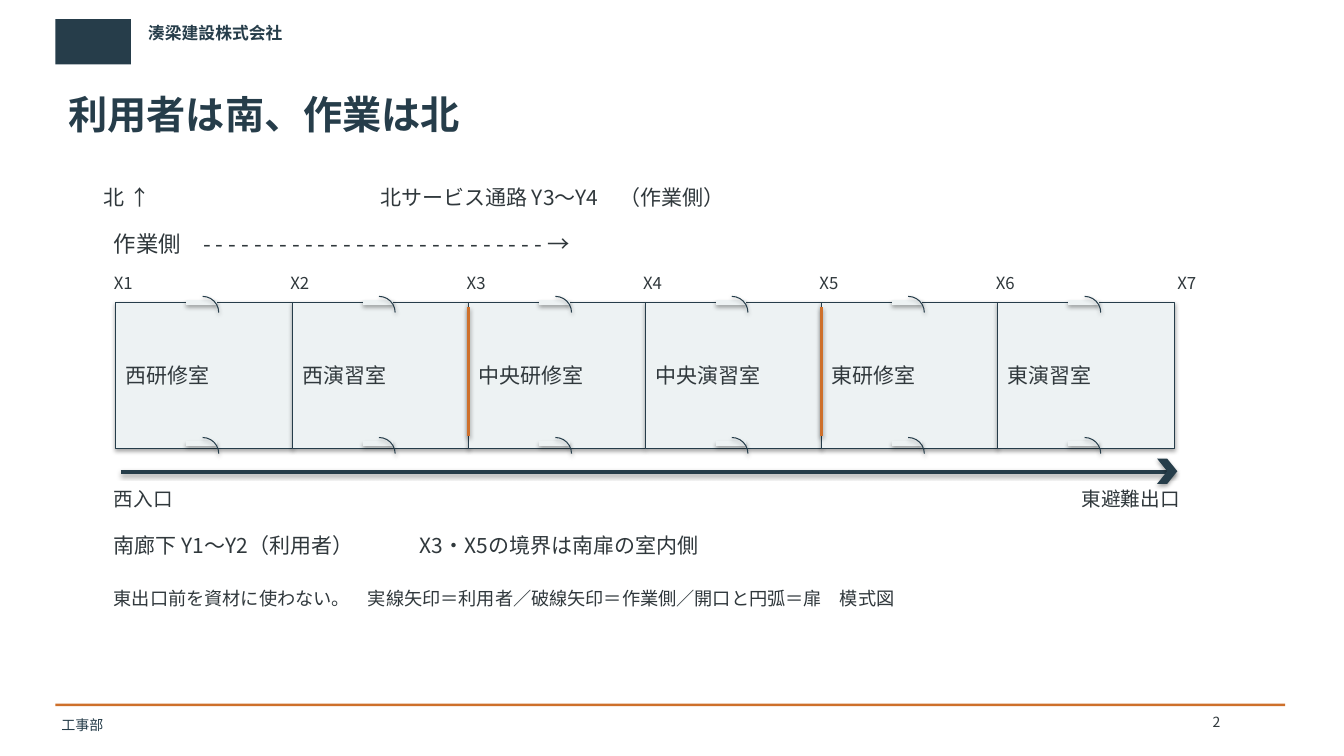
from dataclasses import dataclass

from lxml.etree import SubElement
from pptx import Presentation
from pptx.dml.color import RGBColor
from pptx.enum.shapes import MSO_CONNECTOR, MSO_SHAPE
from pptx.enum.text import MSO_ANCHOR, PP_ALIGN
from pptx.oxml.ns import qn
from pptx.util import Pt


@dataclass(frozen=True)
class Theme:
    font: str = "Noto Sans CJK JP"
    navy: str = "263D4A"
    orange: str = "CE702B"
    ink: str = "30383C"
    room: str = "EDF2F3"
    title: int = 28
    work: int = 16
    body: int = 15
    entrance: int = 14
    note: int = 13
    label: int = 12
    footer: int = 10


THEME = Theme()

ROOMS = ["西研修室", "西演習室", "中央研修室", "中央演習室", "東研修室", "東演習室"]
PARTITION_AXES = [2, 4]

# text, (left, top, width, height), size, colour, bold, tab stop
TEXTS = [
    ("湊梁建設株式会社", (103.68, 12.96, 288, 36), THEME.label, THEME.navy, True, None),
    ("工事部", (41.76, 508.32, 648, 21.6), THEME.footer, THEME.navy, False, None),
    ("利用者は南、作業は北", (46.8, 61.2, 864, 57.6), THEME.title, THEME.navy, True, None),
    ("2", (864, 507.6, 36, 18), THEME.footer, THEME.ink, False, None),
    ("北 ↑\t北サービス通路 Y3〜Y4\u3000（作業側）", (72, 129.6, 792, 21.6),
     THEME.body, THEME.ink, False, 197.5),
    ("作業側\u3000- - - - - - - - - - - - - - - - - - - - - - - - - - - →",
     (79.2, 162, 792, 25.2), THEME.work, THEME.ink, False, None),
    ("西入口", (79.2, 345.6, 79.2, 25.2), THEME.entrance, THEME.ink, False, None),
    ("東避難出口", (770.4, 345.6, 122.4, 25.2), THEME.entrance, THEME.ink, False, None),
    ("南廊下 Y1〜Y2（利用者）\tX3・X5の境界は南扉の室内側", (79.2, 378, 792, 32.4),
     THEME.body, THEME.ink, False, 218.5),
    ("東出口前を資材に使わない。\u3000実線矢印＝利用者／破線矢印＝作業側／開口と円弧＝扉\u3000模式図",
     (79.2, 417.6, 792, 32.4), THEME.note, THEME.ink, False, None),
]

PLAN_LEFT, PLAN_TOP = 82.8, 216
ROOM_WIDTH, ROOM_HEIGHT = 126, 104.4
DOOR_OFFSET, DOOR_WIDTH, DOOR_ARC = 50.4, 21.6, 23.04
DOOR_LINES = [PLAN_TOP, 316.8]
ARC_RISE = 4.32
TOP_INSET_SMALL, INSET_SIDE, TOP_INSET_LARGE = 2.16, 2.16, 3.6


def style(para, size, color, bold=False, tab=None):
    para.alignment = PP_ALIGN.LEFT
    if tab:
        tabs = SubElement(para._p.get_or_add_pPr(), qn("a:tabLst"))
        SubElement(tabs, qn("a:tab"), pos=str(int(Pt(tab))), algn="l")
    font = para.font
    font.name, font.size, font.bold = THEME.font, Pt(size), bold
    font.color.rgb = RGBColor.from_string(color)
    SubElement(para._p.pPr.find(qn("a:defRPr")), qn("a:ea"), typeface=THEME.font)


def add_text(page, text, frame, size, color=THEME.ink, bold=False, tab=None):
    box = page.shapes.add_textbox(*map(Pt, frame))
    body = box.text_frame
    body.word_wrap = True
    body.margin_left = body.margin_right = Pt(INSET_SIDE)
    body.margin_top = Pt(TOP_INSET_SMALL if color == THEME.ink else TOP_INSET_LARGE)
    body.margin_bottom = Pt(TOP_INSET_LARGE)
    body.text = text
    style(body.paragraphs[0], size, color, bold, tab)


def add_shape(page, kind, frame, fill=None, line=None, shadow=True):
    """Add a preset shape; shadow keeps the soft shadow of the theme."""
    shape = page.shapes.add_shape(kind, *map(Pt, frame))
    if fill:
        shape.fill.solid()
        shape.fill.fore_color.rgb = RGBColor.from_string(fill)
    else:
        shape.fill.background()
    if line:
        shape.line.color.rgb = RGBColor.from_string(line)
        shape.line.width = Pt(0.75)
    else:
        shape.line.fill.background()
    if not shadow:
        shape.shadow.inherit = False
    return shape


def add_line(page, start, end, color, width):
    line = page.shapes.add_connector(MSO_CONNECTOR.STRAIGHT, *map(Pt, start + end))
    line.line.color.rgb = RGBColor.from_string(color)
    line.line.width = Pt(width)


def add_room(page, name, left):
    room = add_shape(page, MSO_SHAPE.RECTANGLE, (left, PLAN_TOP, ROOM_WIDTH, ROOM_HEIGHT),
                     THEME.room, THEME.navy)
    room.text_frame.text = name
    room.text_frame.vertical_anchor = MSO_ANCHOR.MIDDLE
    style(room.text_frame.paragraphs[0], THEME.body, THEME.ink)
    door = left + DOOR_OFFSET
    for y in DOOR_LINES:
        add_line(page, (door, y), (door + DOOR_WIDTH, y), THEME.room, 3)
        add_shape(page, MSO_SHAPE.ARC, (door, y - ARC_RISE, DOOR_ARC, DOOR_ARC),
                  line=THEME.navy)


def main():
    deck = Presentation()
    deck.slide_width, deck.slide_height = Pt(960), Pt(540)
    page = deck.slides.add_slide(deck.slide_layouts[6])

    add_shape(page, MSO_SHAPE.RECTANGLE, (39.6, 13.68, 54, 32.4), THEME.navy, shadow=False)
    add_shape(page, MSO_SHAPE.RECTANGLE, (39.6, 502.56, 878.4, 1.8), THEME.orange, shadow=False)

    axes = [PLAN_LEFT + i * ROOM_WIDTH for i in range(len(ROOMS) + 1)]
    for name, left in zip(ROOMS, axes):
        add_room(page, name, left)
    for number, x in enumerate(axes, 1):
        label_left = x if number == len(axes) else x - 3.6
        add_text(page, f"X{number}", (label_left, 192.96, 39.6, 20.16), THEME.label)

    add_line(page, (86.4, 336.96), (axes[-1], 336.96), THEME.navy, 3)
    add_shape(page, MSO_SHAPE.CHEVRON, (826.56, 327.6, 14.4, 18), THEME.navy)
    for index in PARTITION_AXES:
        add_line(page, (axes[index], 219.6), (axes[index], 311.76), THEME.orange, 2)

    for item in TEXTS:
        add_text(page, *item)
    deck.save("out.pptx")


if __name__ == "__main__":
    main()
